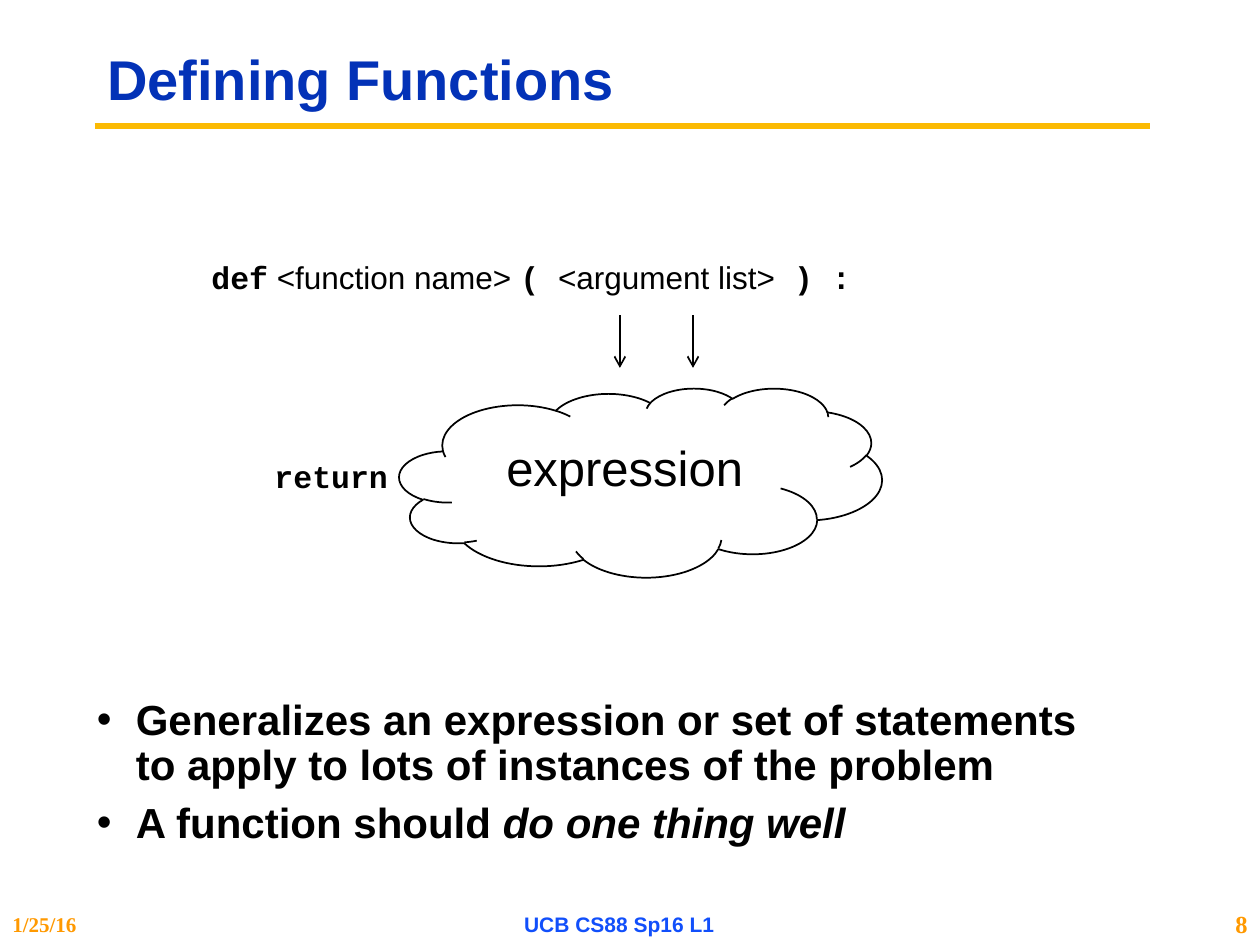
from lxml.etree import SubElement
from pptx import Presentation
from pptx.dml.color import RGBColor
from pptx.enum.shapes import MSO_CONNECTOR as CONN, MSO_SHAPE as SHAPE
from pptx.enum.text import MSO_ANCHOR as ANCHOR, MSO_AUTO_SIZE as AUTO, PP_ALIGN as ALIGN
from pptx.oxml.ns import qn
from pptx.util import Inches, Pt

BLACK = RGBColor(0x00, 0x00, 0x00)
TITLE_BLUE = RGBColor(0x03, 0x32, 0xB7)
FOOTER_BLUE = RGBColor(0x11, 0x4F, 0xFB)
GOLD = RGBColor(0xFB, 0xBA, 0x03)
ORANGE = RGBColor(0xFF, 0x99, 0x00)
SANS, MONO, SERIF = "Arial", "Courier New", "Times New Roman"


def add_run(p, text, size, font=SANS, color=BLACK, bold=False, italic=False):
    r = p.add_run()
    r.text = text
    f = r.font
    f.name, f.size, f.bold, f.italic = font, Pt(size), bold, italic
    f.color.rgb = color


def add_box(s, x, y, w, h, wrap=True, anchor=ANCHOR.TOP):
    tf = s.shapes.add_textbox(Inches(x), Inches(y), Inches(w), Inches(h)).text_frame
    tf.word_wrap = wrap
    tf.vertical_anchor = anchor
    return tf


def add_line(s, x1, y1, x2, y2, color, width, arrow=False):
    line = s.shapes.add_connector(
        CONN.STRAIGHT, Inches(x1), Inches(y1), Inches(x2), Inches(y2))
    line.line.color.rgb = color
    line.line.width = Pt(width)
    if arrow:
        SubElement(line.line._get_or_add_ln(), qn("a:tailEnd"), type="arrow")
    SubElement(line._element.spPr, qn("a:effectLst"))


def add_title(s, x, y, w, h):
    add_line(s, x, 1, x + w - 0.04, 1, GOLD, 3.75)
    title = s.shapes.title
    title.left, title.top, title.width, title.height = map(Inches, (x, y, w, h))
    tf = title.text_frame
    tf.auto_size = AUTO.NONE
    tf.vertical_anchor = ANCHOR.MIDDLE
    p = tf.paragraphs[0]
    p.alignment = ALIGN.LEFT
    p.line_spacing = 0.9
    add_run(p, "Defining Functions", 32, color=TITLE_BLUE, bold=True)


def add_bullets(s, x, y, w, h):
    bullets = [
        [("Generalizes an expression or set of statements to apply to lots of "
          "instances of the problem", False)],
        [("A function should ", False), ("do one thing well", True)],
    ]
    tf = add_box(s, x, y, w, h)
    for i, runs in enumerate(bullets):
        p = tf.add_paragraph() if i else tf.paragraphs[0]
        pPr = p._p.get_or_add_pPr()
        pPr.set("marL", str(Inches(0.31)))
        pPr.set("indent", str(-Inches(0.31)))
        SubElement(pPr, qn("a:buFont"), typeface=SANS)
        SubElement(pPr, qn("a:buChar"), char="•")
        p.line_spacing = 0.9
        if i:
            p.space_before = Pt(7)
        for text, italic in runs:
            add_run(p, text, 24, bold=True, italic=italic)


def add_diagram(s, x, y):
    signature = [
        ("def", True), (" <function name> ", False), ("( ", True),
        ("<argument list>", False), (" ) :", True),
    ]
    p = add_box(s, x, y, 5.33, 0.4, wrap=False).paragraphs[0]
    for text, is_code in signature:
        add_run(p, text, 18, MONO if is_code else SANS, bold=is_code)

    for dx in (3.34, 3.92):
        add_line(s, x + dx, y + 0.5, x + dx, y + 0.92, BLACK, 1, arrow=True)

    cloud = s.shapes.add_shape(
        SHAPE.CLOUD, Inches(x + 1.59), Inches(y + 1.08), Inches(3.83), Inches(1.5))
    cloud.shadow.inherit = False
    cloud.fill.background()
    cloud.line.color.rgb = BLACK
    cloud.line.width = Pt(1)

    tf = add_box(s, x + 2.34, y + 1.42, 2.1, 0.57, wrap=False)
    add_run(tf.paragraphs[0], "expression", 28)
    tf = add_box(s, x + 0.5, y + 1.58, 1.11, 0.4, wrap=False)
    add_run(tf.paragraphs[0], "return", 18, MONO, bold=True)


def add_footer(s, y, h):
    parts = [
        (0, 1.67, "1/25/16", 12, SERIF, ORANGE, ALIGN.LEFT),
        (3.33, 3.17, "UCB CS88 Sp16 L1", 12, SANS, FOOTER_BLUE, ALIGN.CENTER),
        (9.42, 0.58, "8", 14, SERIF, ORANGE, ALIGN.RIGHT),
    ]
    for x, w, text, size, font, color, align in parts:
        p = add_box(s, x, y, w, h, anchor=ANCHOR.MIDDLE).paragraphs[0]
        p.alignment = align
        add_run(p, text, size, font, color, bold=True)


def main():
    prs = Presentation()
    prs.slide_width, prs.slide_height = Inches(10), Inches(7.5)
    s = prs.slides.add_slide(prs.slide_layouts[5])
    add_title(s, 0.75, 0.25, 8.42, 0.81)
    add_bullets(s, 0.67, 5.5, 8.33, 1.42)
    add_footer(s, 7.17, 0.33)
    add_diagram(s, 1.58, 2)
    prs.save("out.pptx")


if __name__ == "__main__":
    main()
